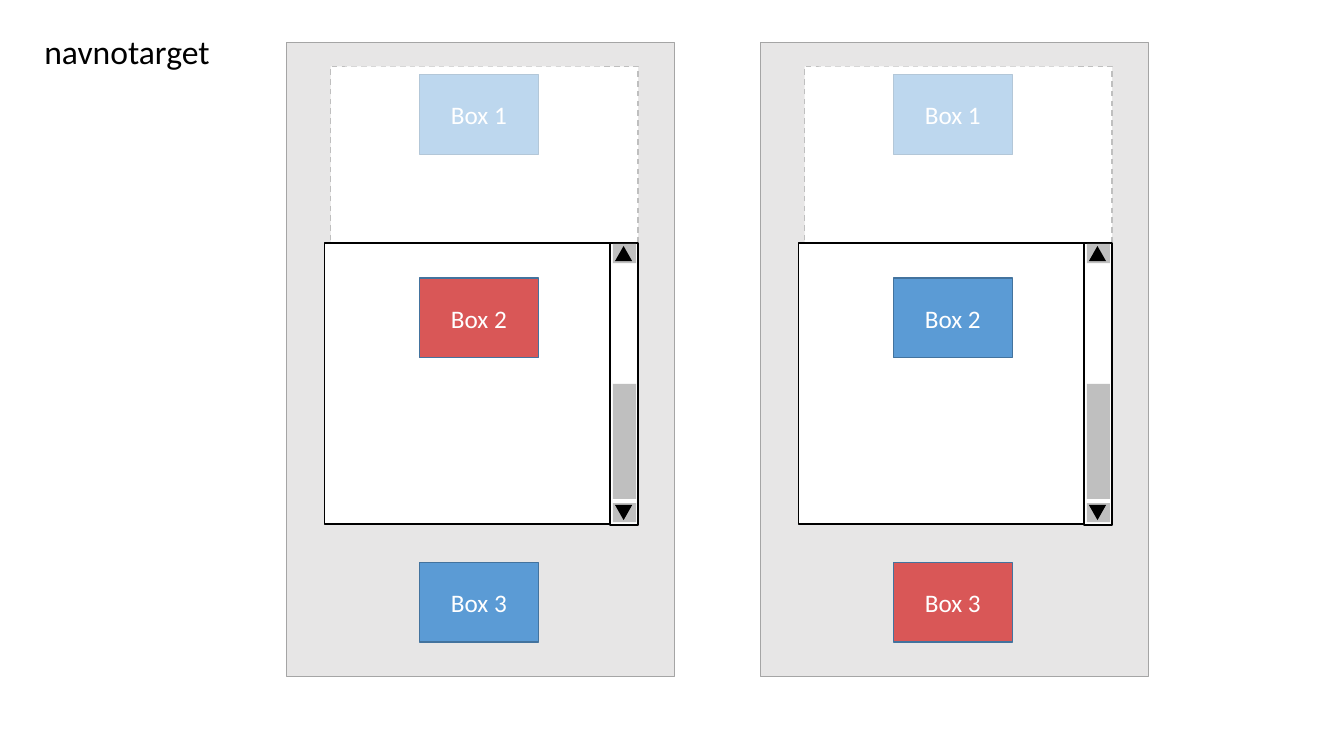
from pptx import Presentation, util as u
from pptx.dml.color import RGBColor
from pptx.enum import dml, shapes, text
from lxml import etree
from pptx.oxml import ns

RECT = shapes.MSO_SHAPE.RECTANGLE
ARROW = shapes.MSO_SHAPE.ISOSCELES_TRIANGLE
WHITE, BLACK, GREY, BLUE, RED = "FFFFFF", "000000", "BFBFBF", "5B9BD5", "D95757"


def paint(part, color):
    part.solid()
    part.fore_color.rgb = RGBColor.from_string(color)


def block(group, left, top, width, height, fill, line=None, kind=RECT):
    """Add a filled shape, placed in inches, with an optional 1 pt outline."""
    shape = group.shapes.add_shape(
        kind, u.Inches(left), u.Inches(top), u.Inches(width), u.Inches(height))
    shape.shadow.inherit = False
    paint(shape.fill, fill)
    if line:
        paint(shape.line.fill, line)
        shape.line.width = u.Pt(1)
    else:
        shape.line.fill.background()
    return shape


prs = Presentation()
prs.slide_width, prs.slide_height = u.Inches(13.33), u.Inches(7.5)
slide = prs.slides.add_slide(prs.slide_layouts[5])

# Two panels, with a different box highlighted in each
START, STEP = 2.84, 4.7
BOX_TOPS = [0.74, 2.76, 5.58]
for col, target in enumerate([2, 3]):
    x = START + col * STEP
    panel = slide.shapes.add_group_shape()
    block(panel, x, 0.42, 3.85, 6.29, "E7E6E6", "A5A5A5")
    content = block(panel, x + 0.44, 0.66, 3.05, 4.54, WHITE, GREY)
    content.line.dash_style = dml.MSO_LINE.DASH
    block(panel, x + 0.38, 2.41, 3.07, 2.79, WHITE, BLACK)

    for num, top in enumerate(BOX_TOPS, 1):
        fill = RED if num == target else BLUE
        box = block(panel, x + 1.32, top, 1.18, 0.79, fill, "43739E")
        frame = box.text_frame
        frame.text = f"Box {num}"
        frame.vertical_anchor = text.MSO_ANCHOR.MIDDLE
        label = frame.paragraphs[0]
        label.alignment = text.PP_ALIGN.CENTER
        label.font.name, label.font.size = "Calibri", u.Pt(18)
        label.font.color.rgb = RGBColor.from_string(WHITE)

    # Scroll bar: track, thumb and two arrow buttons
    block(panel, x + 3.21, 2.41, 0.28, 2.8, WHITE, BLACK)
    block(panel, x + 3.24, 3.81, 0.23, 1.14, GREY)
    for top, turn in [(2.42, 0), (4.99, 180)]:
        block(panel, x + 3.24, top, 0.23, 0.19, GREY)
        arrow = block(panel, x + 3.26, top + 0.02, 0.17, 0.15, BLACK, kind=ARROW)
        arrow.rotation = turn

    # Translucent veil over the content scrolled out of view
    veil = block(panel, x + 0.58, 0.66, 2.57, 1.7, WHITE)
    color = veil.element.xpath(".//a:srgbClr")[0]
    etree.SubElement(color, ns.qn("a:alpha"), val="60000")

title = slide.shapes.title
title.left, title.top = u.Inches(0.34), u.Inches(0.26)
title.width, title.height = u.Inches(1.86), u.Inches(0.5)
frame = title.text_frame
frame.text = "navnotarget"
frame.word_wrap = False
frame.auto_size = text.MSO_AUTO_SIZE.SHAPE_TO_FIT_TEXT
frame.vertical_anchor = text.MSO_ANCHOR.TOP
name = frame.paragraphs[0]
name.alignment = text.PP_ALIGN.LEFT
name.font.name, name.font.size = "Calibri", u.Pt(24)
name.font.color.rgb = RGBColor.from_string(BLACK)

prs.save("out.pptx")
